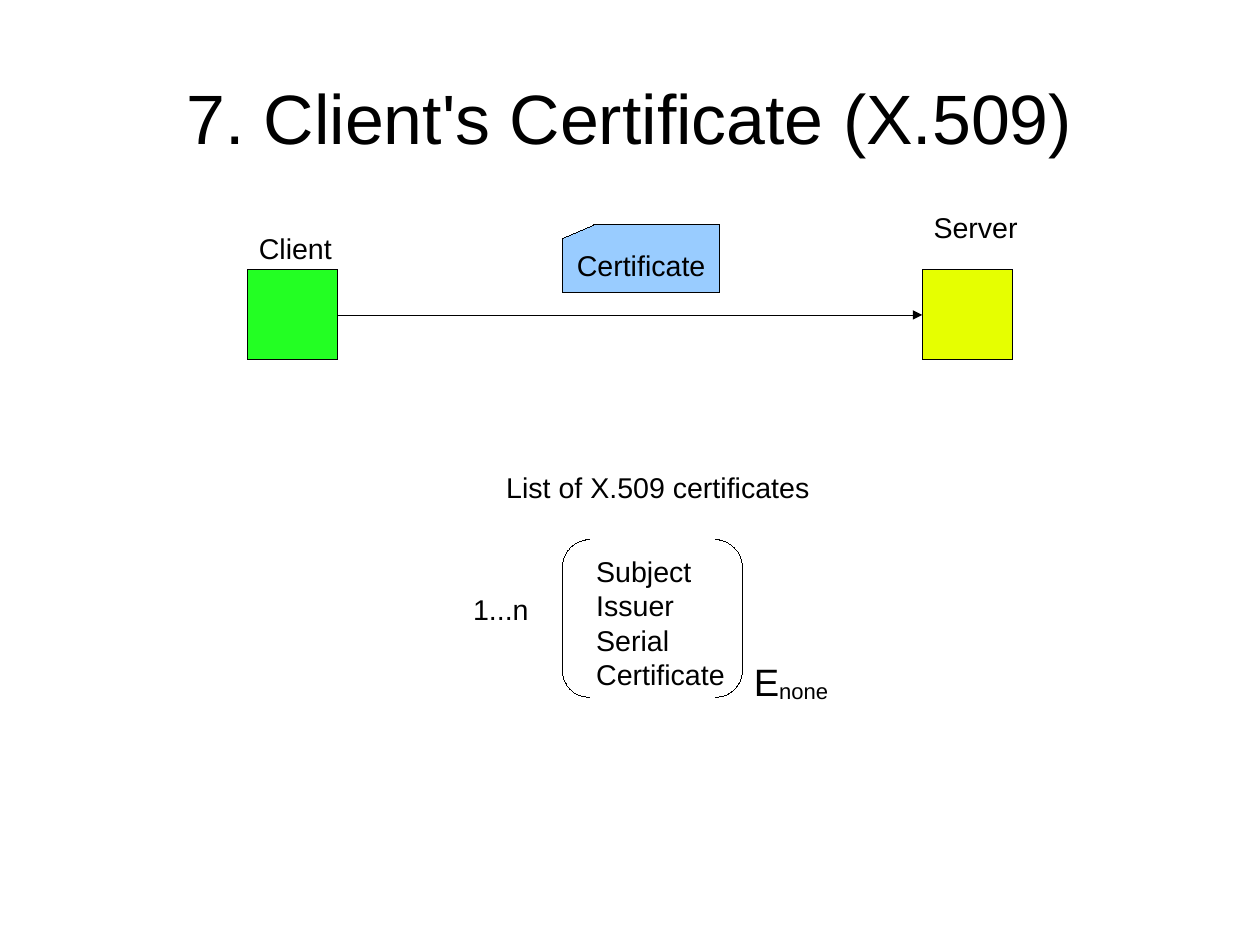
"""Build the slide on the client's X.509 certificate."""
from pptx import Presentation
from pptx.dml.color import RGBColor
from pptx.enum.shapes import MSO_CONNECTOR as Link, MSO_SHAPE as Shape
from pptx.enum.text import MSO_ANCHOR as Anchor, PP_ALIGN as Align
from pptx.oxml.ns import qn
from pptx.util import Pt
from lxml.etree import SubElement

PAGE_SIZE = (793.75, 595.25)
BLACK = "000000"
TITLE = ("7. Client's Certificate (X.509)", (39.7, 23.7, 714.3, 99.4))
LABELS = [
    ("Client", (156, 141.7, 64, 31.5), False),
    ("Server", (581, 128.9, 70.6, 31.5), True),
    ("List of X.509 certificates", (311.8, 292.8, 226.8, 33), True),
    ("Subject\nIssuer\nSerial\nCertificate", (368.5, 345.4, 127.5, 105), True),
    ("1...n", (290.9, 369.2, 49.7, 31.5), False),
]
ENCRYPTION = (("E", "none"), (467.8, 411, 62.6, 41.8))
SQUARE, SQUARE_TOP = 56.7, 170
CLIENT = (156, "23FF23")
SERVER = (581, "E6FF00")
CARD = ("Certificate", (354.3, 141.7, 99.2, 42.5), "99CCFF")
BRACKET = (354.3, 340, 113.4, 99.2)


def color(value):
    return RGBColor.from_string(value)


def style_text(frame, size, align=Align.LEFT):
    for para in frame.paragraphs:
        para.alignment = align
        for span in para.runs:
            span.font.name = "Arial"
            span.font.size = Pt(size)
            span.font.color.rgb = color(BLACK)


def add_text(page, text, place, size=18, wrap=True, align=Align.LEFT):
    frame = page.shapes.add_textbox(*map(Pt, place)).text_frame
    frame.word_wrap = wrap
    frame.text = text
    style_text(frame, size, align)
    return frame


def draw_hairline(shape):
    shape.line.color.rgb = color(BLACK)
    outline = shape._element.spPr.find(qn("a:ln"))
    outline.set("w", "0")
    return outline


def add_outline(page, kind, place, fill=None):
    shape = page.shapes.add_shape(kind, *map(Pt, place))
    shape.shadow.inherit = False
    if fill:
        shape.fill.solid()
        shape.fill.fore_color.rgb = color(fill)
    else:
        shape.fill.background()
    draw_hairline(shape)
    return shape


def add_arrow(page, start, end):
    arrow = page.shapes.add_connector(Link.STRAIGHT, 0, 0, 0, 0)
    arrow.begin_connect(start, 3)
    arrow.end_connect(end, 1)
    SubElement(draw_hairline(arrow), qn("a:tailEnd"), type="triangle")
    SubElement(arrow._element.spPr, qn("a:effectLst"))


def main():
    deck = Presentation()
    deck.slide_width, deck.slide_height = map(Pt, PAGE_SIZE)
    page = deck.slides.add_slide(deck.slide_layouts[6])

    title = add_text(page, *TITLE, size=44, align=Align.CENTER)
    title.vertical_anchor = Anchor.MIDDLE
    title.margin_left = title.margin_right = 0
    title.margin_top = title.margin_bottom = 0

    client, server = [
        add_outline(page, Shape.FLOWCHART_PROCESS, (left, SQUARE_TOP, SQUARE, SQUARE), fill)
        for left, fill in (CLIENT, SERVER)
    ]
    add_arrow(page, client, server)

    name, place, fill = CARD
    card = add_outline(page, Shape.FLOWCHART_CARD, place, fill).text_frame
    card.word_wrap = False
    card.vertical_anchor = Anchor.MIDDLE
    card.text = name
    style_text(card, 18, Align.CENTER)

    for text, place, wrap in LABELS:
        add_text(page, text, place, wrap=wrap)

    add_outline(page, Shape.DOUBLE_BRACKET, BRACKET).adjustments[0] = 0.171

    (symbol, subscript), place = ENCRYPTION
    key = add_text(page, symbol, place, size=24, wrap=False)
    span = key.paragraphs[0].add_run()
    span.text = subscript
    style_text(key, 24)
    span.font._element.set("baseline", "-8000")

    deck.save("out.pptx")


if __name__ == "__main__":
    main()
